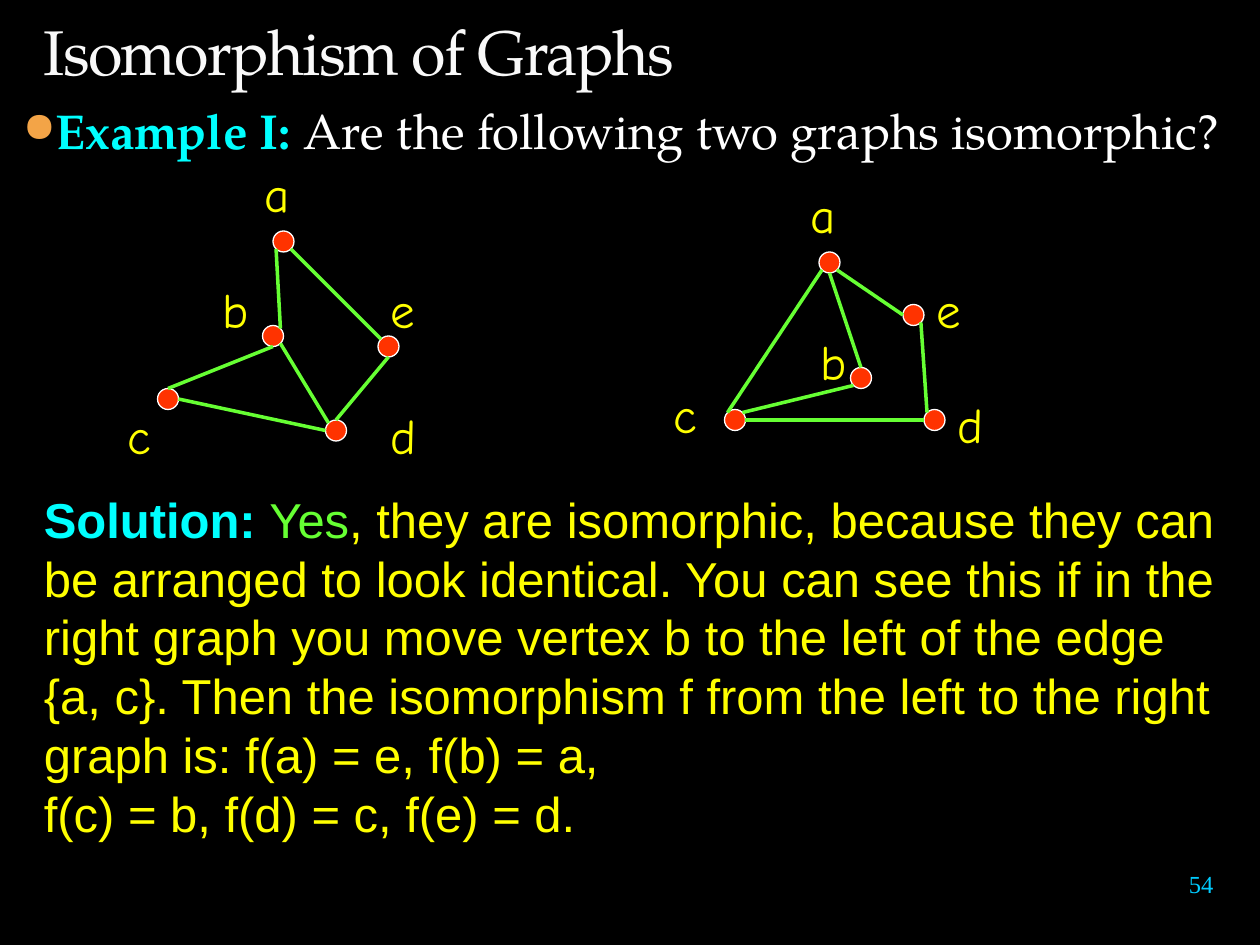
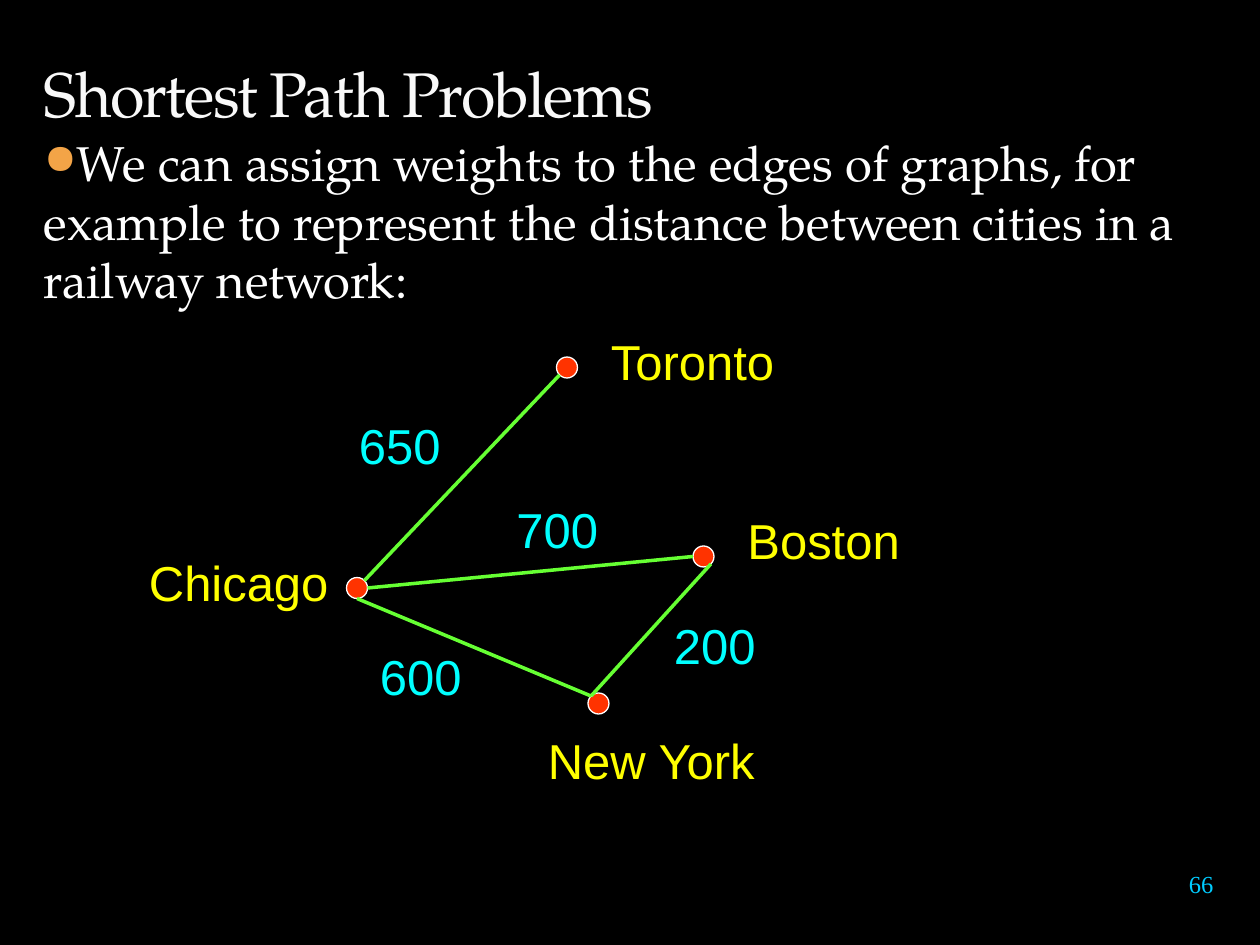
"""Build two slides on graph isomorphism and shortest paths."""
from dataclasses import dataclass
from math import cos, radians, sin
from typing import NamedTuple

from lxml import etree
from pptx import Presentation
from pptx.dml.color import RGBColor
from pptx.enum.shapes import MSO_CONNECTOR, MSO_SHAPE
from pptx.enum.text import MSO_ANCHOR, PP_ALIGN
from pptx.oxml.ns import qn
from pptx.shapes.group import GroupShape
from pptx.slide import Slide
from pptx.util import Pt

CIRCLE = MSO_SHAPE.FLOWCHART_CONNECTOR
STRAIGHT = MSO_CONNECTOR.STRAIGHT
TOP, MIDDLE, BOTTOM = MSO_ANCHOR.TOP, MSO_ANCHOR.MIDDLE, MSO_ANCHOR.BOTTOM
LEFT, CENTER = PP_ALIGN.LEFT, PP_ALIGN.CENTER


@dataclass(frozen=True)
class Theme:
    """Colours, fonts and sizes that the slides share."""
    background: str = "000000"
    title: str = "F9F9F9"
    body: str = "FFFFFF"
    bullet: str = "F3A447"
    accent: str = "00FFFF"
    label: str = "FFFF00"
    edge: str = "66FF33"
    vertex: str = "FF3300"
    number: str = "00CCFF"
    serif: str = "TeX Gyre Pagella"
    sans: str = "Arial"
    letter: str = "Comic Neue"
    footer: str = "Times New Roman"
    title_size: int = 36
    text_size: int = 28
    number_size: int = 14
    radius: int = 6
    edge_width: float = 2
    outline_width: float = 0.75


THEME = Theme()
SITE_ANGLES = {"right": 0, "bottom right": 45, "bottom": 90, "bottom left": 135,
               "left": 180, "top left": 225, "top": 270, "top right": 315}


class Box(NamedTuple):
    """A rectangle in points."""
    left: float
    top: float
    width: float
    height: float = 41


class Piece(NamedTuple):
    """A stretch of text in one colour."""
    text: str
    color: str
    bold: bool = False


class Vertex(NamedTuple):
    """A vertex centre and the box of its label."""
    x: float
    y: float
    label: Box


class Edge(NamedTuple):
    """An edge between two vertices, each met at a site on its rim."""
    start: str
    start_site: str
    end: str
    end_site: str


class Weight(NamedTuple):
    """The length of an edge and its box."""
    text: str
    box: Box


class Graph(NamedTuple):
    """Vertices, edges and weights drawn as one group."""
    font: str
    vertices: dict[str, Vertex]
    edges: list[Edge]
    weights: list[Weight] = []


LEFT_GRAPH = Graph(
    THEME.letter,
    {"a": Vertex(162, 138, Box(144, 90, 48)),
     "b": Vertex(156, 192, Box(120, 156, 24)),
     "c": Vertex(96, 228, Box(66, 228, 30)),
     "d": Vertex(192, 246, Box(216, 228, 48)),
     "e": Vertex(222, 198, Box(216, 156, 48))},
    [Edge("d", "top", "e", "bottom"),
     Edge("d", "left", "c", "right"),
     Edge("c", "top", "b", "bottom"),
     Edge("b", "top right", "a", "bottom left"),
     Edge("a", "bottom right", "e", "top left"),
     Edge("b", "bottom right", "d", "top left")])

RIGHT_GRAPH = Graph(
    THEME.letter,
    {"a": Vertex(474, 150, Box(456, 102, 48)),
     "b": Vertex(492, 216, Box(462, 186, 24)),
     "c": Vertex(420, 240, Box(378, 216, 30)),
     "d": Vertex(534, 240, Box(540, 222, 48)),
     "e": Vertex(522, 180, Box(528, 156, 48))},
    [Edge("c", "right", "d", "left"),
     Edge("c", "top right", "b", "bottom left"),
     Edge("b", "top", "a", "bottom"),
     Edge("a", "bottom right", "e", "left"),
     Edge("e", "bottom right", "d", "top left"),
     Edge("a", "bottom left", "c", "top left")])

RAILWAY = Graph(
    THEME.sans,
    {"Chicago": Vertex(204, 336, Box(78, 312, 120)),
     "Toronto": Vertex(324, 210, Box(342, 186, 120)),
     "Boston": Vertex(402, 318, Box(420, 288, 120)),
     "New York": Vertex(342, 402, Box(306, 414, 168))},
    [Edge("Toronto", "bottom left", "Chicago", "top right"),
     Edge("Chicago", "bottom", "New York", "top left"),
     Edge("Boston", "bottom right", "New York", "top left"),
     Edge("Chicago", "right", "Boston", "left")],
    [Weight("650", Box(198, 234, 78)),
     Weight("700", Box(288, 282, 78)),
     Weight("600", Box(210, 366, 78)),
     Weight("200", Box(378, 348, 78))])


def color(value: str) -> RGBColor:
    """Turn a hex value into a colour."""
    return RGBColor.from_string(value)


def add_text(parent: Slide | GroupShape, box: Box, pieces: list[Piece], font: str,
             size: float = THEME.text_size, anchor: MSO_ANCHOR = TOP,
             alignment: PP_ALIGN = LEFT, bullet: bool = False,
             spacing: int = 0, inset: bool = True) -> None:
    """Add a wrapped text box holding one paragraph of coloured pieces."""
    shape = parent.shapes.add_textbox(*map(Pt, box))
    frame = shape.text_frame
    frame_format = {"word_wrap": True, "vertical_anchor": anchor}
    if not inset:
        frame_format |= dict.fromkeys(
            ("margin_left", "margin_top", "margin_right", "margin_bottom"), 0)
    for name, value in frame_format.items():
        setattr(frame, name, value)
    paragraph = frame.paragraphs[0]
    if bullet:
        add_bullet(paragraph._p.get_or_add_pPr())
    paragraph.alignment = alignment
    for piece in pieces:
        for index, line in enumerate(piece.text.split("\n")):
            if index:
                paragraph.add_line_break()
            run = paragraph.add_run()
            run.text = line
            font_format = {"name": font, "size": Pt(size), "bold": piece.bold}
            for name, value in font_format.items():
                setattr(run.font, name, value)
            run.font.color.rgb = color(piece.color)
            if spacing:
                run._r.get_or_add_rPr().set("spc", str(spacing))


def add_bullet(properties: etree._Element) -> None:
    """Give paragraph properties a round bullet."""
    bullet_color = etree.SubElement(properties, qn("a:buClr"))
    etree.SubElement(bullet_color, qn("a:srgbClr"), val=THEME.bullet)
    etree.SubElement(properties, qn("a:buSzPct"), val="85000")
    etree.SubElement(properties, qn("a:buChar"), char="●")


def rim_point(vertex: Vertex, site: str) -> tuple[Pt, Pt]:
    """Find where a site lies on the rim of a vertex."""
    angle = radians(SITE_ANGLES[site])
    return (Pt(vertex.x + THEME.radius * cos(angle)),
            Pt(vertex.y + THEME.radius * sin(angle)))


def add_vertex(group: GroupShape, vertex: Vertex) -> None:
    """Draw one vertex as a circle."""
    diameter = 2 * THEME.radius
    shape = group.shapes.add_shape(
        CIRCLE, Pt(vertex.x - THEME.radius), Pt(vertex.y - THEME.radius),
        Pt(diameter), Pt(diameter))
    shape.shadow.inherit = False
    shape.fill.solid()
    shape.fill.fore_color.rgb = color(THEME.vertex)
    shape.line.color.rgb = color(THEME.body)
    shape.line.width = Pt(THEME.outline_width)


def add_edge(group: GroupShape, graph: Graph, edge: Edge) -> None:
    """Draw one edge from rim to rim."""
    connector = group.shapes.add_connector(
        STRAIGHT,
        *rim_point(graph.vertices[edge.start], edge.start_site),
        *rim_point(graph.vertices[edge.end], edge.end_site))
    connector.line.color.rgb = color(THEME.edge)
    connector.line.width = Pt(THEME.edge_width)
    etree.SubElement(connector._element.spPr, qn("a:effectLst"))


def add_graph(slide: Slide, graph: Graph) -> None:
    """Draw a graph as one group."""
    group = slide.shapes.add_group_shape()
    for vertex in graph.vertices.values():
        add_vertex(group, vertex)
    for edge in graph.edges:
        add_edge(group, graph, edge)
    for name, vertex in graph.vertices.items():
        add_text(group, vertex.label, [Piece(name, THEME.label)], graph.font)
    for weight in graph.weights:
        add_text(group, weight.box, [Piece(weight.text, THEME.accent)], graph.font)


def add_slide(presentation: Presentation, title: str, title_height: float,
              number: int, body_box: Box, body: list[Piece]) -> Slide:
    """Add a slide with its title, bulleted body and number."""
    slide = presentation.slides.add_slide(presentation.slide_layouts[6])
    slide.background.fill.solid()
    slide.background.fill.fore_color.rgb = color(THEME.background)
    add_text(slide, Box(18, 0, 678, title_height), [Piece(title, THEME.title)],
             THEME.serif, THEME.title_size, anchor=BOTTOM, spacing=-100)
    add_text(slide, body_box, body, THEME.serif, bullet=True)
    add_text(slide, Box(662.4, 486.7, 48, 36), [Piece(str(number), THEME.number)],
             THEME.footer, THEME.number_size, MIDDLE, CENTER, inset=False)
    return slide


def add_isomorphism_slide(presentation: Presentation) -> None:
    """Add the slide that compares two graphs."""
    slide = add_slide(
        presentation, "Isomorphism of Graphs", 54, 54, Box(6, 54, 714, 42),
        [Piece("Example I:", THEME.accent, True),
         Piece(" Are the following two graphs isomorphic?", THEME.body)])
    add_graph(slide, LEFT_GRAPH)
    add_graph(slide, RIGHT_GRAPH)
    add_text(slide, Box(18, 276, 690, 144), [
        Piece("Solution: ", THEME.accent, True),
        Piece("Yes", THEME.edge),
        Piece(", they are isomorphic, because they can be arranged to look "
              "identical. You can see this if in the right graph you move vertex b "
              "to the left of the edge {a, c}. Then the isomorphism f from the left "
              "to the right graph is: f(a) = e, f(b) = a,\n"
              "f(c) = b, f(d) = c, f(e) = d.", THEME.label)], THEME.sans)


def add_shortest_path_slide(presentation: Presentation) -> None:
    """Add the slide with the weighted railway graph."""
    slide = add_slide(
        presentation, "Shortest Path Problems", 78, 66, Box(18, 72, 690, 162),
        [Piece("We can assign weights to the edges of graphs, for example to "
               "represent the distance between cities in a railway network:",
               THEME.body)])
    add_graph(slide, RAILWAY)


def main() -> None:
    """Build and save the presentation."""
    presentation = Presentation()
    presentation.slide_width, presentation.slide_height = Pt(720), Pt(540)
    add_isomorphism_slide(presentation)
    add_shortest_path_slide(presentation)
    presentation.save("out.pptx")


if __name__ == "__main__":
    main()
